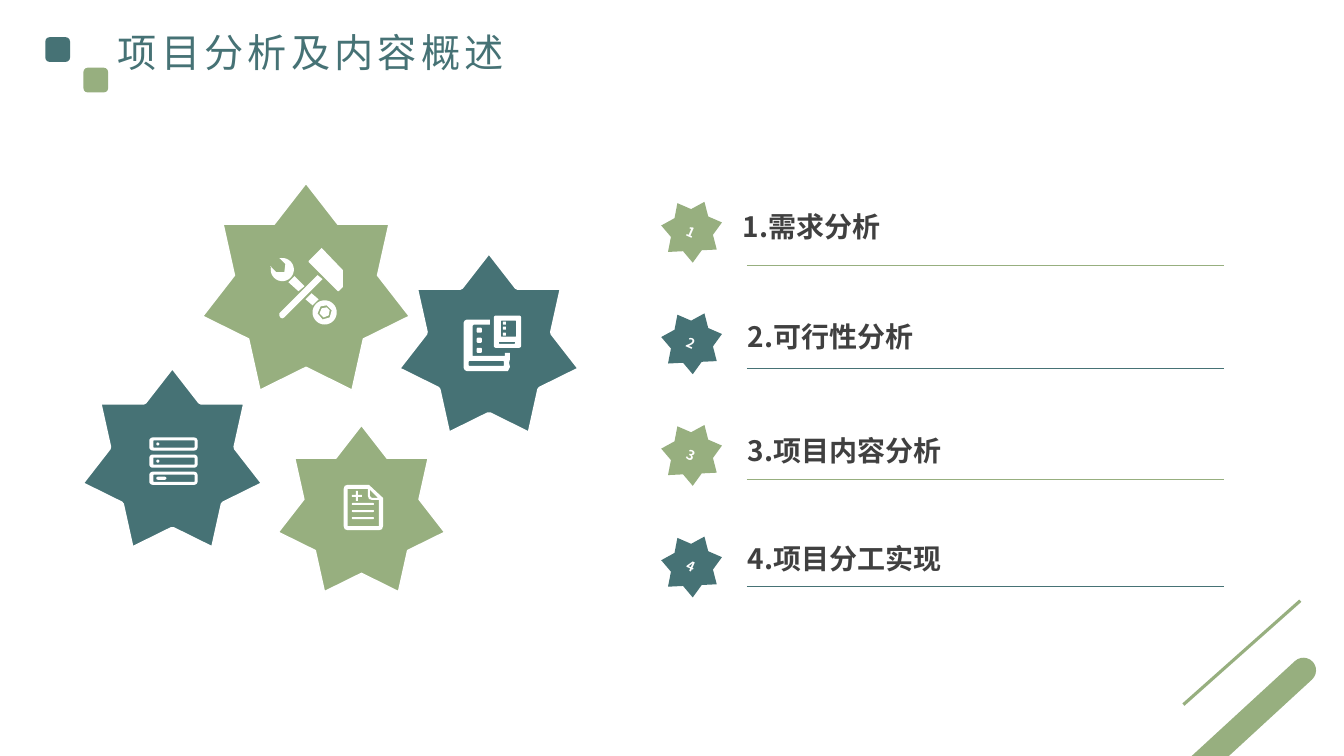
import math
from dataclasses import dataclass

import lxml.etree
import pptx
import pptx.dml.color
import pptx.enum.shapes
import pptx.enum.text
import pptx.oxml.ns
import pptx.util

Pt = pptx.util.Pt
qn = pptx.oxml.ns.qn
SHAPE = pptx.enum.shapes.MSO_SHAPE
ANCHOR = pptx.enum.text.MSO_ANCHOR
ALIGN = pptx.enum.text.PP_ALIGN


@dataclass(frozen=True)
class Theme:
    teal: str = "467275"
    green: str = "97AF7F"
    white: str = "FFFFFF"
    text: str = "404040"
    font: str = "Noto Sans CJK SC"
    title: float = 28
    label: float = 20
    number: float = 9.6


def arc(cx, cy, radius, start, end, steps):
    angles = [math.radians(start + (end - start) * i / steps) for i in range(steps + 1)]
    return [(cx + radius * math.cos(a), cy + radius * math.sin(a)) for a in angles]


def rounded(x, y, w, h, radius):
    corners = [(x + w - radius, y + h - radius), (x + radius, y + h - radius),
               (x + radius, y + radius), (x + w - radius, y + radius)]
    return [point for i, (cx, cy) in enumerate(corners)
            for point in arc(cx, cy, radius, 90 * i, 90 * i + 90, 5)]


def tools_icon():
    return [
        arc(54, 64, 12, 0, 360, 32),
        [(56, 57), (50, 58), (47, 65), (52, 71), (59, 69), (61, 62)],
        [(56, 59), (51, 60), (49, 65), (53, 69), (58, 67), (59, 62)],
        [(41, 45), (48, 51), (42, 57), (35, 51)],
        [(24, 28), (34, 38), (28, 43), (18, 34)],
        [(47, 27), (52, 31), (14, 69), (12, 70), (10, 69), (9, 67), (9, 65)],
        [(51, 0), (72, 22), (72, 39), (68, 43), (67, 43), (38, 14), (38, 13)],
        [(0, 18), (6, 24), (14, 24), (15, 16), (9, 10)] + arc(12, 21.5, 11.5, -105, 197, 24),
    ]


def book_icon():
    cover = [(3, 4), (26, 4), (26, 9), (10, 9), (9, 10), (9, 40), (41, 40), (41, 37),
             (46, 37), (46, 43), (45, 47), (46, 51), (44, 55), (3, 55), (1, 54),
             (0, 52), (0, 7), (1, 5)]
    big_dots = [rounded(13, y, 5, 5, 1) for y in (12, 22, 32)]
    small_dots = [rounded(39, y, 3, 3, 0.5) for y in (6, 11, 17)]
    return [cover, rounded(5, 45, 35, 5, 1), rounded(30, 0, 27, 32, 2),
            rounded(37, 5, 15, 16, 0.5), rounded(35, 26, 16, 2, 0.5)] + big_dots + small_dots


def server_icon():
    rows = (0, 17, 34)
    frames = [frame for y in rows
              for frame in (rounded(0, y, 48, 13, 3.5), rounded(4, y + 3, 41, 7, 0.5))]
    return frames + [rounded(7, y + 5, 10 if y == rows[-1] else 3, 3, 1.5) for y in rows]


def document_icon():
    page = [(4, 0), (25, 0), (39, 13), (39, 41), (38, 44), (35, 45),
            (4, 45), (1, 44), (0, 41), (0, 4), (1, 1)]
    paper = [(4, 4), (24, 4), (24, 11), (25, 14), (28, 15), (35, 15), (35, 41), (4, 41)]
    fold = [(26, 5), (34, 13), (28, 13), (26, 11)]
    plus = [(8, 10), (12, 10), (12, 6), (14, 6), (14, 10), (18, 10),
            (18, 12), (14, 12), (14, 16), (12, 16), (12, 12), (8, 12)]
    return [page, paper, fold, plus] + [rounded(8, y, 22, 2, 1) for y in (18, 25, 32)]


class Deck:
    ICON_UNIT = 0.72
    ICON_STEPS = 100

    def __init__(self, theme):
        self.theme = theme
        self.prs = pptx.Presentation()
        self.prs.slide_width, self.prs.slide_height = Pt(960), Pt(540)
        self.s = self.prs.slides.add_slide(self.prs.slide_layouts[5])

    def rgb(self, colour):
        return pptx.dml.color.RGBColor.from_string(colour)

    def paint(self, sp, fill, line=None, width=0):
        sp.shadow.inherit = False
        sp.fill.solid()
        sp.fill.fore_color.rgb = self.rgb(fill)
        if line:
            sp.line.color.rgb = self.rgb(line)
            sp.line.width = Pt(width)
        else:
            sp.line.fill.background()

    def add_text(self, tf, text, size, colour, bold=False, align=ALIGN.LEFT,
                 anchor=ANCHOR.MIDDLE, spacing=None, tracking=None):
        tf.auto_size = pptx.enum.text.MSO_AUTO_SIZE.NONE
        tf.vertical_anchor = anchor
        p = tf.paragraphs[0]
        p.alignment = align
        p.line_spacing = spacing
        r = p.add_run()
        r.text = text
        r.font.size, r.font.bold, r.font.name = Pt(size), bold, self.theme.font
        r.font.color.rgb = self.rgb(colour)
        props = r._r.get_or_add_rPr()
        lxml.etree.SubElement(props, qn("a:ea")).set("typeface", self.theme.font)
        if tracking:
            props.set("spc", str(tracking * 100))

    def title(self, text, x, y, w, h):
        sp = self.s.shapes.title
        sp.left, sp.top, sp.width, sp.height = Pt(x), Pt(y), Pt(w), Pt(h)
        sp.text_frame.word_wrap = False
        self.add_text(sp.text_frame, text, self.theme.title, self.theme.teal,
                      anchor=ANCHOR.TOP, tracking=3)

    def label(self, text, x, y, w, h):
        tf = self.s.shapes.add_textbox(Pt(x), Pt(y), Pt(w), Pt(h)).text_frame
        tf.word_wrap = True
        self.add_text(tf, text, self.theme.label, self.theme.text, True, anchor=ANCHOR.BOTTOM)

    def bar(self, x, y, w, h, colour, radius=0.17, rotation=0):
        sp = self.s.shapes.add_shape(SHAPE.ROUNDED_RECTANGLE, Pt(x), Pt(y), Pt(w), Pt(h))
        sp.adjustments[0] = radius
        sp.rotation = rotation
        self.paint(sp, colour)

    def star(self, x, y, size, colour, outline=0):
        sp = self.s.shapes.add_shape(SHAPE.STAR_7_POINT, Pt(x), Pt(y), Pt(size), Pt(size))
        self.paint(sp, colour, self.theme.white if outline else None, outline)
        return sp

    def badge(self, number, x, y, size, colour):
        sp = self.star(x, y, size, colour)
        sp.rotation = 23.4
        tf = sp.text_frame
        tf.word_wrap = False
        tf.margin_left = tf.margin_right = tf.margin_top = tf.margin_bottom = 0
        self.add_text(tf, str(number), self.theme.number, self.theme.white, True,
                      ALIGN.CENTER, spacing=1.5)

    def line(self, x1, y1, x2, y2, colour, width):
        sp = self.s.shapes.add_connector(pptx.enum.shapes.MSO_CONNECTOR.STRAIGHT,
                                         Pt(x1), Pt(y1), Pt(x2), Pt(y2))
        sp.line.color.rgb = self.rgb(colour)
        sp.line.width = Pt(width)
        lxml.etree.SubElement(sp._element.spPr, qn("a:effectLst"))

    def icon(self, x, y, contours):
        scaled = [[(px * self.ICON_STEPS, py * self.ICON_STEPS) for px, py in contour]
                  for contour in contours]
        builder = self.s.shapes.build_freeform(*scaled[0][0],
                                               scale=Pt(self.ICON_UNIT) / self.ICON_STEPS)
        for i, contour in enumerate(scaled):
            if i:
                builder.move_to(*contour[0])
            builder.add_line_segments(contour[1:], close=True)
        self.paint(builder.convert_to_shape(Pt(x), Pt(y)), self.theme.white)


def main():
    theme = Theme()
    deck = Deck(theme)

    deck.bar(32.4, 26.6, 17.6, 17.6, theme.teal)
    deck.bar(59.6, 48.4, 17.6, 17.6, theme.green)
    deck.title("项目分析及内容概述", 77, 16.6, 332, 41)
    deck.bar(612.7, 590.4, 374.4, 18, theme.green, 0.5, 317.4)
    deck.line(845.3, 503.3, 928.8, 429.1, theme.green, 2.25)

    topics = [("1.需求分析", 523.4, 146.9, 189.4), ("2.可行性分析", 527, 225.4, 262.8),
              ("3.项目内容分析", 527, 306.7, 342), ("4.项目分工实现", 527, 384.5, 418.5)]
    for i, (text, x, y, rule_y) in enumerate(topics):
        colour = (theme.green, theme.teal)[i % 2]
        deck.badge(i + 1, 473, 142.4 + 79.7 * i, 43.2, colour)
        deck.label(text, x, y, 294, 30.2)
        deck.line(533.5, rule_y, 874, rule_y, colour, 0.25)

    gears = [(144.8, 131, 147.6, theme.green, 1, 193, 177.1, tools_icon),
             (198.8, 303.8, 118.8, theme.green, 1, 245.5, 346.3, document_icon),
             (283, 178.6, 132.5, theme.teal, 4.5, 331.2, 225.4, book_icon),
             (56.9, 260.6, 132.5, theme.teal, 4.5, 106.6, 312.5, server_icon)]
    for x, y, size, colour, outline, icon_x, icon_y, icon in gears:
        deck.star(x, y, size, colour, outline)
        deck.icon(icon_x, icon_y, icon())

    deck.prs.save("out.pptx")


if __name__ == "__main__":
    main()
